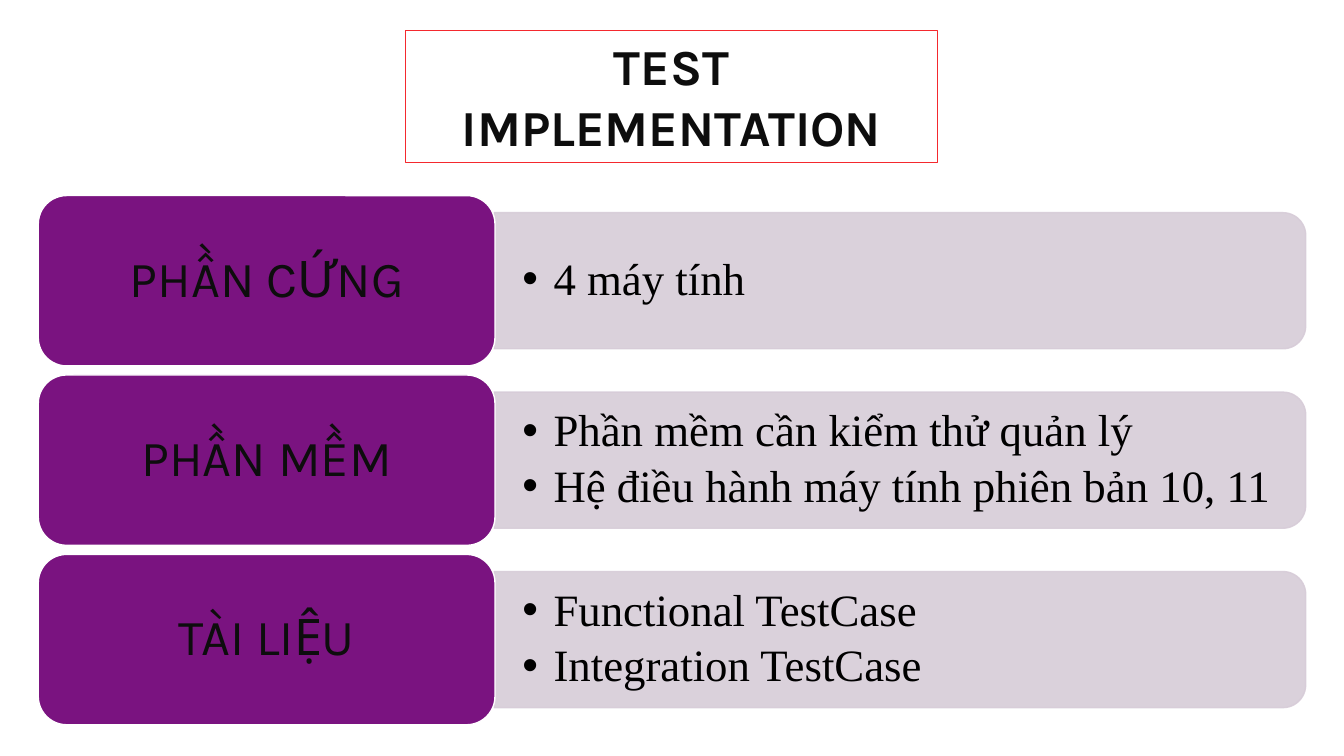
from lxml import etree
from pptx import Presentation
from pptx.dml.color import RGBColor
from pptx.enum.shapes import MSO_SHAPE
from pptx.enum.text import MSO_ANCHOR, MSO_AUTO_SIZE, PP_ALIGN
from pptx.oxml.ns import qn
from pptx.util import Inches, Pt

WHITE = RGBColor(0xFF, 0xFF, 0xFF)
RED = RGBColor(0xF4, 0x29, 0x2E)
INK = RGBColor(0x0D, 0x0D, 0x0D)
BLACK = RGBColor(0x00, 0x00, 0x00)
PURPLE = RGBColor(0x7A, 0x13, 0x80)
LILAC = RGBColor(0xD7, 0xCC, 0xD8)

FIRST_TOP = 1.94
ROW_PITCH = 1.78
CATEGORY_HEIGHT = 1.69
BAR_LEFT, BAR_LENGTH, BAR_HEIGHT = 4.9, 8.05, 1.35
LIST_HEIGHT = 1.22

RESOURCES = [
    ("PHẦN CỨNG", ["4 máy tính"]),
    ("PHẦN MỀM", ["Phần mềm cần kiểm thử quản lý",
                  "Hệ điều hành máy tính phiên bản 10, 11"]),
    ("TÀI LIỆU", ["Functional TestCase", "Integration TestCase"]),
]


def set_values(target, values):
    """Set each named attribute of the target."""
    for name, value in values.items():
        setattr(target, name, value)


def place(shape, left, top, width, height):
    """Move and size a shape, in inches."""
    set_values(shape, {"left": Inches(left), "top": Inches(top),
                       "width": Inches(width), "height": Inches(height)})


def set_frame(frame, anchor, side, end):
    """Set the anchor and the insets of a text frame."""
    set_values(frame, {
        "word_wrap": True, "auto_size": MSO_AUTO_SIZE.NONE,
        "vertical_anchor": anchor,
        "margin_left": Inches(side), "margin_right": Inches(side),
        "margin_top": Inches(end), "margin_bottom": Inches(end)})


def set_font(paragraph, name, size, color, bold=False):
    """Format the runs of a paragraph."""
    for run in paragraph.runs:
        set_values(run.font, {"name": name, "size": Pt(size), "bold": bold})
        run.font.color.rgb = color


def paint(shape, fill, line):
    """Give a shape a solid fill and a thin outline."""
    shape.fill.solid()
    shape.fill.fore_color.rgb = fill
    shape.line.color.rgb = line
    shape.line.width = Pt(1)


def add_title(slide):
    """Format the title placeholder as a framed heading."""
    title = slide.shapes.title
    place(title, 4.02, 0.3, 5.28, 1.31)
    paint(title, WHITE, RED)
    set_frame(title.text_frame, MSO_ANCHOR.TOP, 0.1, 0.05)
    title.text_frame.text = "TEST IMPLEMENTATION"
    heading = title.text_frame.paragraphs[0]
    heading.alignment = PP_ALIGN.CENTER
    set_font(heading, "Karla", 36, INK, bold=True)


def add_bar(slide, middle):
    """Add the translucent bar with rounded right corners."""
    bar = slide.shapes.add_shape(MSO_SHAPE.ROUND_2_SAME_RECTANGLE, 0, 0, 0, 0)
    place(bar, BAR_LEFT + (BAR_LENGTH - BAR_HEIGHT) / 2,
          middle - BAR_LENGTH / 2, BAR_HEIGHT, BAR_LENGTH)
    bar.rotation = 90
    bar.shadow.inherit = False
    paint(bar, LILAC, LILAC)
    for color in bar.element.spPr.iter(qn("a:srgbClr")):
        etree.SubElement(color, qn("a:alpha"), val="90000")


def add_list(slide, body, middle, items):
    """Fill a body placeholder with bullets and bring it forward."""
    place(body, 4.91, middle - LIST_HEIGHT / 2, 7.98, LIST_HEIGHT)
    set_frame(body.text_frame, MSO_ANCHOR.MIDDLE, 0.27, 0.14)
    body.text_frame.text = "\n".join(items)
    for item in body.text_frame.paragraphs:
        properties = item._p.get_or_add_pPr()
        properties.set("marL", str(Inches(0.31)))
        properties.set("indent", str(Inches(-0.31)))
        etree.SubElement(properties, qn("a:buChar"), char="•")
        set_values(item, {"level": 1, "line_spacing": 0.9,
                          "space_before": Pt(0), "space_after": Pt(5),
                          "alignment": PP_ALIGN.LEFT})
        set_font(item, "Times New Roman", 32, BLACK)
    slide.shapes._spTree.append(body.element)


def add_category(slide, top, name):
    """Add the purple rounded box that names a row."""
    category = slide.shapes.add_shape(MSO_SHAPE.ROUNDED_RECTANGLE, 0, 0, 0, 0)
    place(category, 0.38, top, 4.53, CATEGORY_HEIGHT)
    category.shadow.inherit = False
    paint(category, PURPLE, WHITE)
    set_frame(category.text_frame, MSO_ANCHOR.MIDDLE, 0.15, 0.07)
    category.text_frame.text = name
    label = category.text_frame.paragraphs[0]
    set_values(label, {"alignment": PP_ALIGN.CENTER, "line_spacing": 0.9})
    set_font(label, "Karla", 36, INK)


def main():
    """Build the test implementation slide."""
    deck = Presentation()
    set_values(deck, {"slide_width": Inches(13.33),
                      "slide_height": Inches(7.5)})
    slide = deck.slides.add_slide(deck.slide_layouts.get_by_name("Comparison"))
    add_title(slide)
    bodies = [holder for holder in slide.placeholders
              if 1 <= holder.placeholder_format.idx <= 4]
    for row, ((name, items), body) in enumerate(zip(RESOURCES, bodies)):
        top = FIRST_TOP + row * ROW_PITCH
        middle = top + CATEGORY_HEIGHT / 2
        add_bar(slide, middle)
        add_list(slide, body, middle, items)
        add_category(slide, top, name)
    for spare in bodies[len(RESOURCES):]:
        slide.shapes._spTree.remove(spare.element)
    deck.save("out.pptx")


if __name__ == "__main__":
    main()
